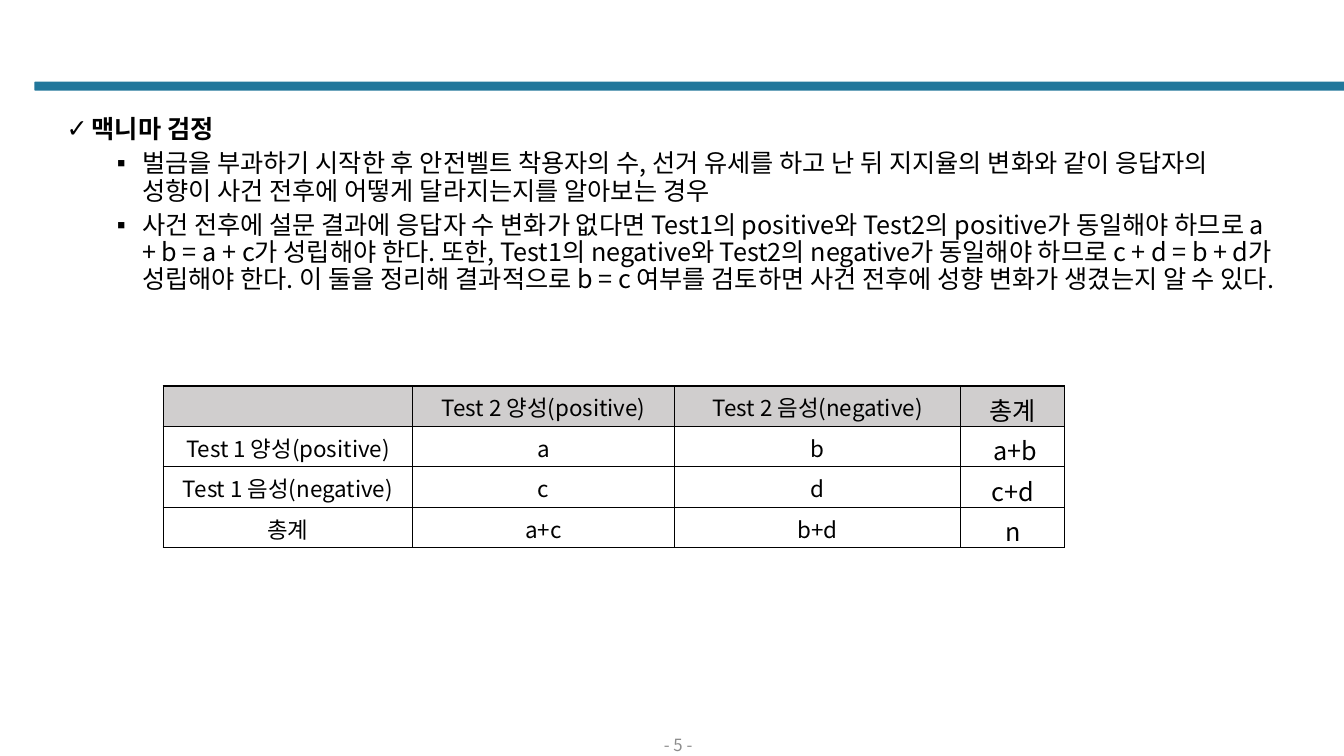
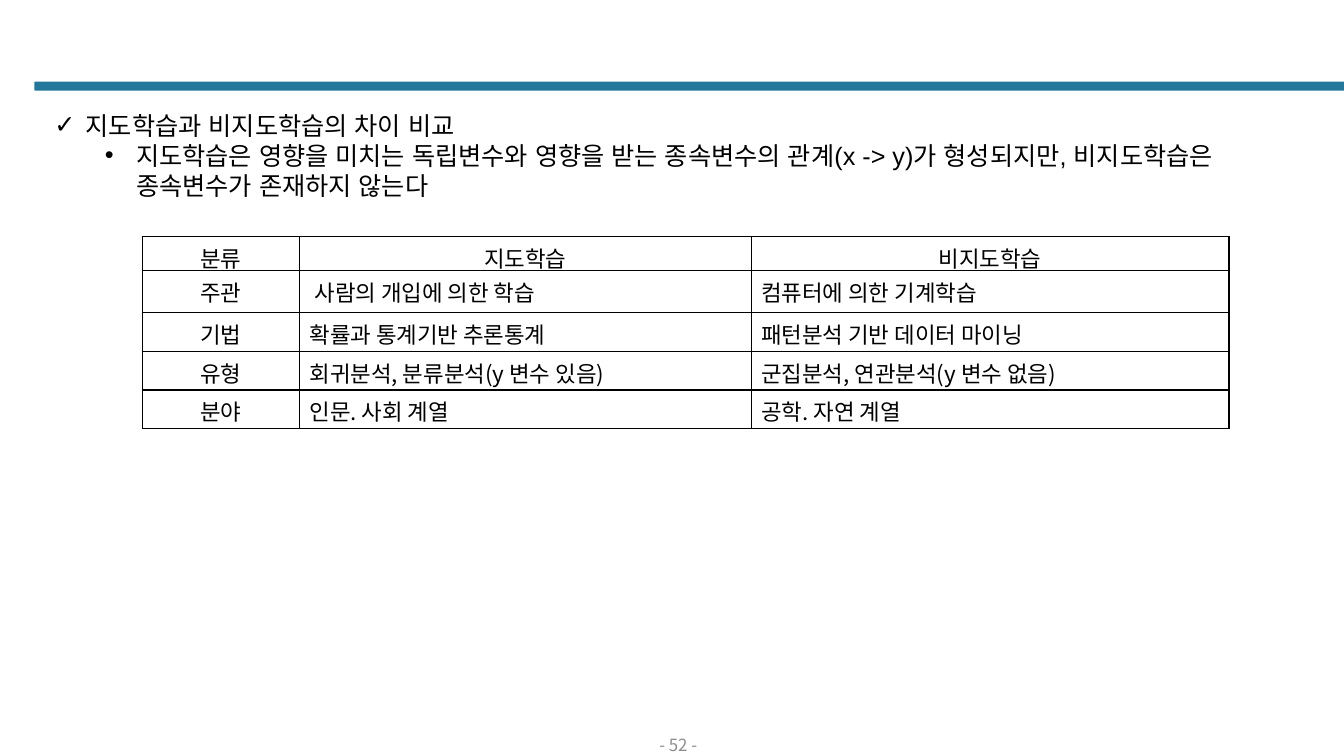
from lxml.etree import SubElement
from pptx import Presentation
from pptx.dml.color import RGBColor
from pptx.enum.shapes import MSO_SHAPE
from pptx.enum.text import MSO_ANCHOR, MSO_AUTO_SIZE, PP_ALIGN
from pptx.oxml.ns import qn
from pptx.util import Inches, Pt

KOREAN_FONT = "Noto Sans CJK KR"
LATIN_FONT = "Arial"
TEAL, BLACK, GREY, HEADER_GREY = "22779B", "000000", "8C8C8C", "D0CECE"


def paint(color_format, hex_color):
    color_format.rgb = RGBColor.from_string(hex_color)


def box(left, top, width, height):
    return Inches(left), Inches(top), Inches(width), Inches(height)


def add_run(paragraph, text, size, color=BLACK, font=KOREAN_FONT, bold=False):
    run = paragraph.add_run()
    run.text = text
    run.font.size = Pt(size)
    run.font.bold = bold
    run.font.name = font
    paint(run.font.color, color)
    SubElement(run.font._element, qn("a:ea"), typeface=font)


def add_band_to_layout(layout, slide):
    """Draw the band on a slide, then hand it to the layout that all slides share."""
    band = slide.shapes.add_shape(MSO_SHAPE.ROUNDED_RECTANGLE, *box(0.34, 0.81, 13.02, 0.09))
    band.adjustments[0] = 0.13
    band.shadow.inherit = False
    band.fill.solid()
    paint(band.fill.fore_color, TEAL)
    band.line.fill.background()
    layout.shapes.element.append(band.element)


def add_content_slide(prs, layout, number):
    slide = prs.slides.add_slide(layout)
    title = slide.shapes.title.element
    title.getparent().remove(title)
    frame = slide.shapes.add_textbox(*box(5.19, 7.27, 3.11, 0.23)).text_frame
    frame.word_wrap = True
    frame.vertical_anchor = MSO_ANCHOR.MIDDLE
    footer = frame.paragraphs[0]
    footer.alignment = PP_ALIGN.CENTER
    add_run(footer, f"- {number} - ", 12, GREY)
    return slide


def set_bullet(paragraph, symbol, left, hanging):
    props = paragraph._p.get_or_add_pPr()
    props.set("marL", str(Inches(left)))
    props.set("indent", str(-Inches(hanging)))
    SubElement(props, qn("a:buFont"), typeface=LATIN_FONT)
    SubElement(props, qn("a:buChar"), char=symbol)


def fill_body(slide, place, heading, points, symbol, hanging, font,
              line_spacing=1.0, space_before=(0, 0), bold_heading=False):
    """Write a ticked heading and its bulleted points into the body placeholder."""
    body = slide.placeholders[1]
    body.left, body.top, body.width, body.height = box(*place)
    frame = body.text_frame
    frame.auto_size = MSO_AUTO_SIZE.NONE
    for index, text in enumerate([heading, *points]):
        level = min(index, 1)
        paragraph = frame.paragraphs[0] if index == 0 else frame.add_paragraph()
        paragraph.level = level
        paragraph.line_spacing = line_spacing
        paragraph.space_before = Pt(space_before[level])
        set_bullet(paragraph, symbol if level else "✓", hanging + 0.5 * level, hanging)
        add_run(paragraph, text, 18, font=font, bold=bold_heading and level == 0)


def add_borders(cell):
    props = cell._tc.get_or_add_tcPr()
    for side in ("lnL", "lnR", "lnT", "lnB"):
        line = SubElement(props, qn(f"a:{side}"), w=str(Pt(1)))
        SubElement(SubElement(line, qn("a:solidFill")), qn("a:srgbClr"), val=BLACK)


def add_grid(slide, left, top, widths, heights, rows, header_fill=None,
             anchor=MSO_ANCHOR.TOP, bottom_margin=0.0, last_size=16, centred=True):
    """Add a bordered table; unless centred, only the first row and column are."""
    place = box(left, top, sum(widths), sum(heights))
    table = slide.shapes.add_table(len(rows), len(widths), *place).table
    table.first_row = table.horz_banding = False
    for column, width in zip(table.columns, widths):
        column.width = Inches(width)
    for r, (texts, height) in enumerate(zip(rows, heights)):
        table.rows[r].height = Inches(height)
        for c, text in enumerate(texts):
            cell = table.cell(r, c)
            add_borders(cell)
            if header_fill and r == 0:
                cell.fill.solid()
                paint(cell.fill.fore_color, header_fill)
            else:
                cell.fill.background()
            cell.vertical_anchor = anchor
            cell.margin_bottom = Inches(bottom_margin)
            paragraph = cell.text_frame.paragraphs[0]
            if centred or r == 0 or c == 0:
                paragraph.alignment = PP_ALIGN.CENTER
            if text:
                add_run(paragraph, text, last_size if c == len(widths) - 1 else 16)


def build_mcnemar(slide):
    fill_body(
        slide, (0.56, 1.11, 12.19, 2.28), "맥니마 검정",
        ["벌금을 부과하기 시작한 후 안전벨트 착용자의 수, 선거 유세를 하고 난 뒤 지지율의 변화와 같이 "
         "응답자의 성향이 사건 전후에 어떻게 달라지는지를 알아보는 경우",
         "사건 전후에 설문 결과에 응답자 수 변화가 없다면 Test1의 positive와 Test2의 positive가 "
         "동일해야 하므로 a + b = a + c가 성립해야 한다. 또한, Test1의 negative와 Test2의 negative가 "
         "동일해야 하므로 c + d = b + d가 성립해야 한다. 이 둘을 정리해 결과적으로 b = c 여부를 검토하면 "
         "사건 전후에 성향 변화가 생겼는지 알 수 있다."],
        "▪", 0.25, KOREAN_FONT, line_spacing=0.9, space_before=(10, 5), bold_heading=True)
    add_grid(
        slide, 1.62, 3.83, [2.47, 2.6, 2.84, 1.03], [0.4] * 4,
        [["", "Test 2 양성(positive)", "Test 2 음성(negative)", "총계"],
         ["Test 1 양성(positive)", "a", "b", " a+b"],
         ["Test 1 음성(negative)", "c", "d", "c+d"],
         ["총계", "a+c", "b+d", "n"]],
        HEADER_GREY, MSO_ANCHOR.MIDDLE, bottom_margin=0.05, last_size=18)


def build_learning_types(slide):
    fill_body(
        slide, (0.44, 1.04, 12.28, 1.31), "지도학습과 비지도학습의 차이 비교",
        ["지도학습은 영향을 미치는 독립변수와 영향을 받는 종속변수의 관계(x -> y)가 형성되지만, "
         "비지도학습은 종속변수가 존재하지 않는다"],
        "•", 0.31, LATIN_FONT)
    add_grid(
        slide, 1.41, 2.35, [1.56, 4.48, 4.74], [0.33, 0.42, 0.39, 0.38, 0.38],
        [["분류", "지도학습", "비지도학습"],
         ["주관", " 사람의 개입에 의한 학습", "컴퓨터에 의한 기계학습"],
         ["기법", "확률과 통계기반 추론통계", "패턴분석 기반 데이터 마이닝"],
         ["유형", "회귀분석, 분류분석(y 변수 있음)", "군집분석, 연관분석(y 변수 없음)"],
         ["분야", "인문. 사회 계열", "공학. 자연 계열"]],
        centred=False)


def main():
    prs = Presentation()
    prs.slide_width, prs.slide_height = Inches(13.33), Inches(7.5)
    layout = prs.slide_layouts[1]
    mcnemar = add_content_slide(prs, layout, 5)
    add_band_to_layout(layout, mcnemar)
    build_mcnemar(mcnemar)
    build_learning_types(add_content_slide(prs, layout, 52))
    prs.save("out.pptx")


if __name__ == "__main__":
    main()
